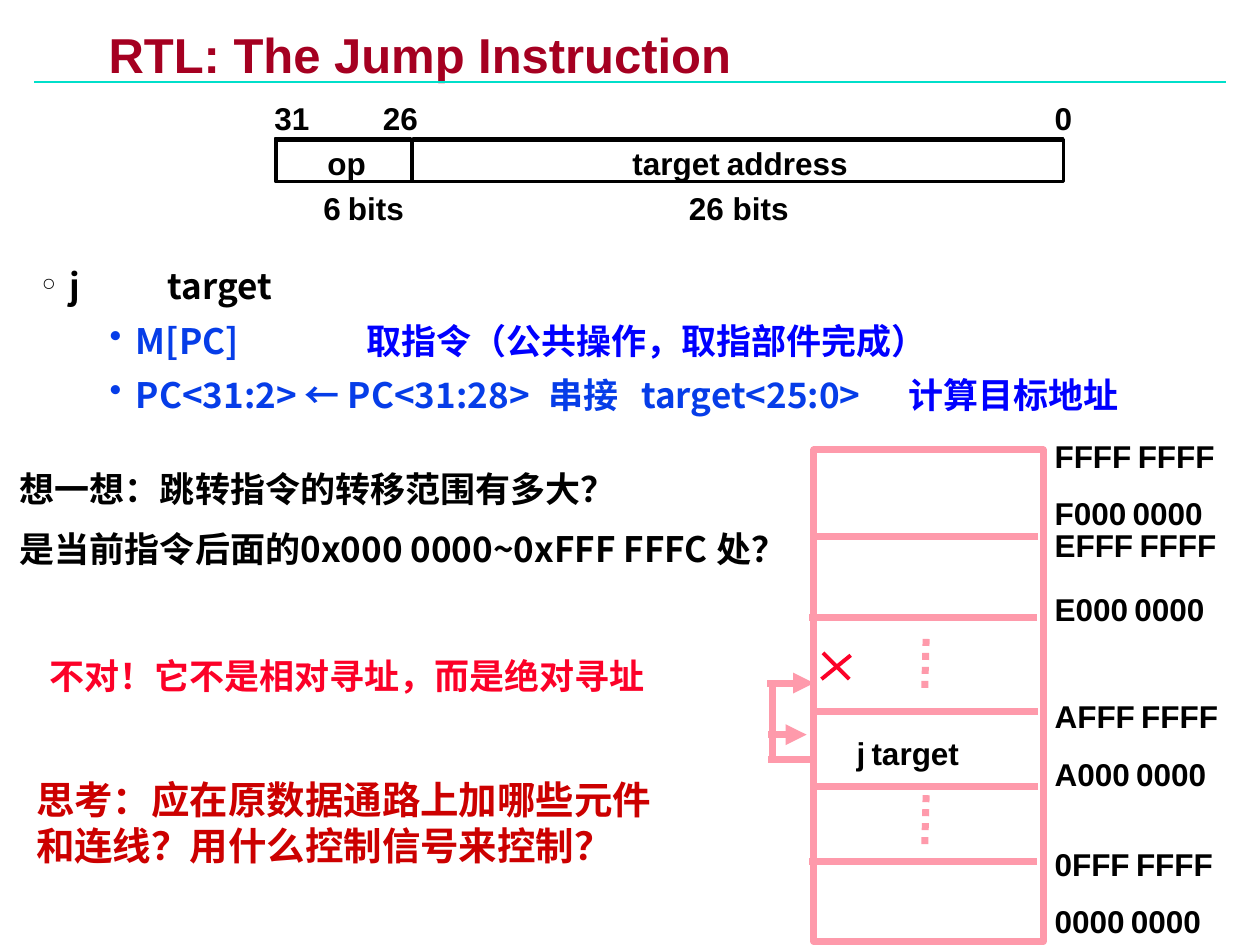
from lxml import etree
from pptx import Presentation
from pptx import util as u
from pptx.dml import color
from pptx.enum import dml, shapes, text
from pptx.oxml import ns

COLORS = {"title": "A50021", "rule": "00DFCA", "black": "000000", "step": "063DE8",
          "note": "0000FF", "think": "CC0000", "wrong": "FC0128", "memory": "FE9AAB"}
CJK = "Noto Sans CJK SC"
KARLA, TIMES = ("Karla", 14), ("Times New Roman", 16)

prs = Presentation()
prs.slide_width, prs.slide_height = u.Cm(25.4), u.Cm(19.05)
slide = prs.slides.add_slide(prs.slide_layouts[5])


def write(box, paragraphs, size=18, font="Arial", wrap=True, inset=(0.25, 0.13),
          before=0, spacing=None, gap=None):
    """Fill a box; each paragraph is a list of (text, colour) runs. gap styles the spaces."""
    frame = box.text_frame
    layout = {"word_wrap": wrap, "vertical_anchor": text.MSO_ANCHOR.TOP,
              "margin_left": u.Cm(inset[0]), "margin_right": u.Cm(inset[0]),
              "margin_top": u.Cm(inset[1]), "margin_bottom": u.Cm(inset[1])}
    for name, value in layout.items():
        setattr(frame, name, value)
    for i, runs in enumerate(paragraphs):
        para = frame.add_paragraph() if i else frame.paragraphs[0]
        para.alignment = text.PP_ALIGN.LEFT
        if i and before:
            para.space_before = u.Pt(before)
        if spacing:
            para.line_spacing = spacing
        for words, colour in runs:
            for piece in words.replace(" ", "| |").split("|") if gap else [words]:
                run = para.add_run()
                run.text = piece
                face, points = gap if gap and piece == " " else (font, size)
                for name, value in {"name": face, "size": u.Pt(points), "bold": True}.items():
                    setattr(run.font, name, value)
                run.font.color.rgb = color.RGBColor.from_string(COLORS[colour])
                if face == CJK:
                    east = etree.SubElement(run.font._element, ns.qn("a:ea"))
                    east.set("typeface", CJK)
    return frame.paragraphs


def draw_line(x1, y1, x2, y2, colour, width, dash=None, arrow=False):
    line = slide.shapes.add_connector(shapes.MSO_CONNECTOR.STRAIGHT,
                                      u.Cm(x1), u.Cm(y1), u.Cm(x2), u.Cm(y2))
    line.line.color.rgb = color.RGBColor.from_string(COLORS[colour])
    line.line.width = u.Pt(width)
    if dash:
        line.line.dash_style = dash
    if arrow:
        etree.SubElement(line.line._get_or_add_ln(), ns.qn("a:tailEnd")).set("type", "triangle")
    etree.SubElement(line._element.spPr, ns.qn("a:effectLst"))


# Title and rule
draw_line(0.69, 1.65, 24.71, 1.65, "rule", 1.5)
title = slide.shapes.title
for name, value in {"left": 2.01, "top": 0.58, "width": 12.93, "height": 1.17}.items():
    setattr(title, name, u.Cm(value))
write(title, [[("RTL: The Jump Instruction", "title")]], size=28, wrap=False,
      inset=(0.18, 0.08), spacing=0.87)

# Register transfers of the jump
transfers = slide.shapes.add_textbox(u.Cm(0.66), u.Cm(5.26), u.Cm(24.74), u.Cm(3.3))
steps = write(transfers, [
    [("j\ttarget", "black")],
    [("M[PC]\t", "step"), ("取指令（公共操作，取指部件完成）", "note")],
    [("PC<31:2> ← PC<31:28>\t串接\ttarget<25:0>\t", "step"), ("计算目标地址", "note")],
], size=20, font=CJK, inset=(0.18, 0.08), before=7)
bullets = [("°", 0.56, 0.56, [2.54]), ("•", 1.9, 0.53, [6.54]),
           ("•", 1.9, 0.53, [10.21, 12.09, 17.47])]
for step, (mark, margin, hang, stops) in zip(steps, bullets):
    props = step._p.get_or_add_pPr()
    props.set("marL", str(u.Cm(margin)))
    props.set("indent", str(-u.Cm(hang)))
    etree.SubElement(props, ns.qn("a:buChar")).set("char", mark)
    tabs = etree.SubElement(props, ns.qn("a:tabLst"))
    for stop in stops:
        tab = etree.SubElement(tabs, ns.qn("a:tab"))
        tab.set("pos", str(u.Cm(stop)))
        tab.set("algn", "l")

# Questions and answer
questions = [
    (0.48, 15.52, 13.31, 2.11, 22, "think",
     ["思考：应在原数据通路上加哪些元件和连线？用什么控制信号来控制？"]),
    (0.15, 9.3, 16.51, 2.39, 20, "black",
     ["想一想：跳转指令的转移范围有多大？", "是当前指令后面的0x000 0000~0xFFF FFFC 处？"]),
    (0.74, 13.06, 13.97, 1.12, 20, "wrong", ["不对！它不是相对寻址，而是绝对寻址"]),
]
for x, y, w, h, size, colour, lines in questions:
    question = slide.shapes.add_textbox(u.Cm(x), u.Cm(y), u.Cm(w), u.Cm(h))
    write(question, [[(words, colour)] for words in lines], size, CJK, before=10)

# Frames: memory, whole instruction word, op field, address field
for x, y, w, h, colour, width in [(16.41, 9.07, 4.62, 9.91, "memory", 4),
                                  (5.56, 2.82, 15.88, 0.84, "black", 2),
                                  (5.54, 2.79, 2.74, 0.86, "black", 1),
                                  (8.33, 2.79, 13.11, 0.86, "black", 1)]:
    frame = slide.shapes.add_shape(shapes.MSO_SHAPE.RECTANGLE,
                                   u.Cm(x), u.Cm(y), u.Cm(w), u.Cm(h))
    frame.shadow.inherit = False
    frame.fill.background()
    frame.line.color.rgb = color.RGBColor.from_string(COLORS[colour])
    frame.line.width = u.Pt(width)

# Memory addresses, with the space above each
addresses = [("FFFF FFFF", 0), ("F000 0000", 14.5), ("EFFF FFFF", 0), ("E000 0000", 18),
             ("AFFF FFFF", 43), ("A000 0000", 14.5), ("0FFF FFFF", 33), ("0000 0000", 14.5)]
address_column = slide.shapes.add_textbox(u.Cm(21.01), u.Cm(8.79), u.Cm(3.84), u.Cm(10.26))
rows = write(address_column, [[(words, "black")] for words, _ in addresses],
             spacing=0.85, gap=KARLA)
for row, (_, above) in zip(rows, addresses):
    if above:
        row.space_before = u.Pt(above)

# Memory dividers and omitted regions
for x, y in [(16.33, 10.82), (16.31, 12.45), (16.33, 14.35), (16.33, 15.85), (16.31, 17.37)]:
    draw_line(x, y, x + 4.6, y, "memory", 4)
for top, bottom in [(12.88, 13.94), (16.03, 17.12)]:
    draw_line(18.67, top, 18.64, bottom, "memory", 4, dash=dml.MSO_LINE.ROUND_DOT)

# Jump paths and the cross over the wrong one
for x1, y1, x2, y2, arrow in [(16.33, 15.32, 15.49, 15.32, False),
                              (15.57, 15.32, 15.57, 14.78, False),
                              (15.49, 14.81, 16.26, 14.81, True),
                              (15.57, 14.81, 15.57, 13.77, False),
                              (15.47, 13.77, 16.41, 13.77, True)]:
    draw_line(x1, y1, x2, y2, "memory", 4, arrow=arrow)
draw_line(17.15, 13.21, 16.56, 13.69, "wrong", 2.25)
draw_line(16.59, 13.16, 17.12, 13.69, "wrong", 2.25)

# Labels of the instruction word and the jump in memory
for words, x, y, w, gap in [("op", 6.35, 2.77, 1.6, None),
                            ("target address", 12.5, 2.77, 6.35, TIMES),
                            ("0", 21.01, 1.86, 1, None),
                            ("26", 7.47, 1.86, 1.4, None),
                            ("31", 5.28, 1.86, 1.4, None),
                            ("6 bits", 6.27, 3.68, 2.4, TIMES),
                            ("26 bits", 13.64, 3.68, 2.9, None),
                            ("j target", 17.02, 14.67, 2.84, ("Times New Roman", 14))]:
    label = slide.shapes.add_textbox(u.Cm(x), u.Cm(y), u.Cm(w), u.Cm(1.02))
    write(label, [[(words, "black")]], wrap=False, gap=gap)

prs.save("out.pptx")
